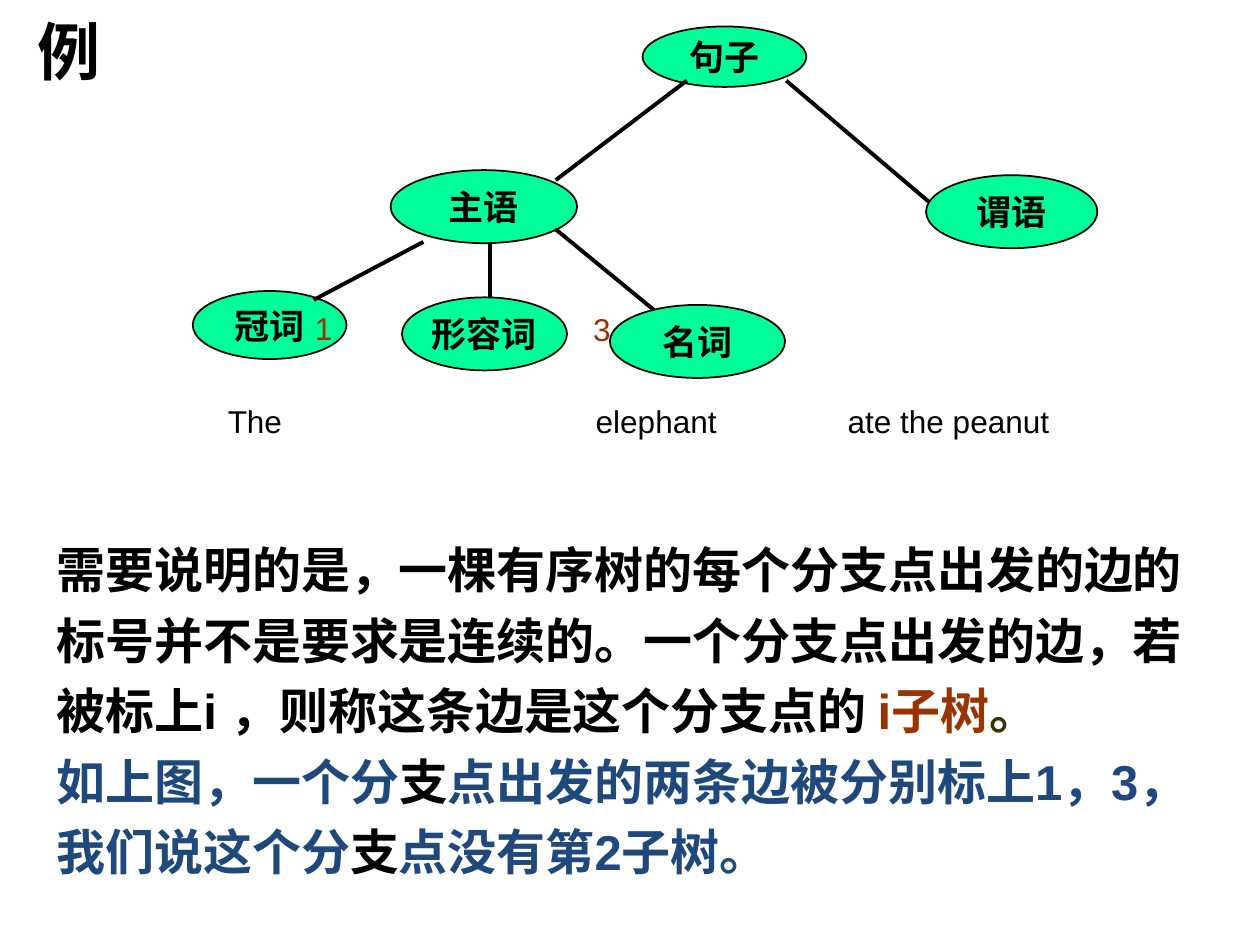
"""Build a slide showing an ordered sentence tree and a note on its i-subtrees."""
from dataclasses import dataclass
from typing import NamedTuple

from lxml.etree import SubElement
from pptx import Presentation
from pptx.dml.color import RGBColor
from pptx.enum.shapes import MSO_CONNECTOR as Connector, MSO_SHAPE as Preset
from pptx.enum.text import MSO_ANCHOR as Anchor, PP_ALIGN as Align
from pptx.oxml.ns import qn
from pptx.slide import Slide
from pptx.text.text import TextFrame
from pptx.util import Inches, Pt


@dataclass(frozen=True)
class Theme:
    black: str = "000000"
    green: str = "00FF99"
    rust: str = "993300"
    olive: str = "333300"
    navy: str = "1F497D"
    latin: str = "Arial"
    heading: str = "Calibri"
    chinese: str = "Noto Sans CJK SC"
    title_size: int = 36
    note_size: int = 28
    node_size: int = 20
    label_size: int = 18
    outline: float = 1
    edge: float = 2.25


THEME = Theme()


class Place(NamedTuple):
    left: float
    top: float
    width: float
    height: float


class Node(NamedTuple):
    word: str
    place: Place


class Edge(NamedTuple):
    x1: float
    y1: float
    x2: float
    y2: float


class Span(NamedTuple):
    text: str
    color: str = THEME.black


class Style(NamedTuple):
    size: int
    name: str
    bold: bool = False
    spacing: float = 1.0
    align: Align = Align.LEFT
    anchor: Anchor = Anchor.TOP
    wrap: bool = False


TITLE = Style(THEME.title_size, THEME.heading, bold=True, anchor=Anchor.MIDDLE, wrap=True)
NOTE = Style(THEME.note_size, THEME.latin, bold=True, spacing=1.2, wrap=True)
NODE = Style(THEME.node_size, THEME.chinese, bold=True, align=Align.CENTER, anchor=Anchor.MIDDLE)
LABEL = Style(THEME.label_size, THEME.latin)
SENTENCE = LABEL._replace(wrap=True)

NODES = [
    Node("句子", Place(5.1, 0.21, 1.3, 0.48)),
    Node("主语", Place(3.1, 1.35, 1.48, 0.58)),
    Node("谓语", Place(7.35, 1.39, 1.36, 0.58)),
    Node("冠词", Place(1.53, 2.31, 1.22, 0.54)),
    Node("形容词", Place(3.19, 2.36, 1.31, 0.58)),
    Node("名词", Place(4.84, 2.42, 1.39, 0.58)),
]
EDGES = [
    Edge(5.45, 0.64, 4.41, 1.43),
    Edge(6.24, 0.64, 7.37, 1.6),
    Edge(3.36, 1.92, 2.49, 2.38),
    Edge(3.89, 1.92, 3.89, 2.36),
    Edge(4.41, 1.82, 5.19, 2.46),
]
EDGE_LABELS = {"1": Place(2.4, 2.4, 0.34, 0.4), "3": Place(4.61, 2.41, 0.34, 0.4)}
WORD_STOPS = (2.92, 4.92)
NOTE_TEXT = [
    [
        Span("需要说明的是，一棵有序树的每个分支点出发的边的标号并不是要求是连续的。"
             "一个分支点出发的边，若被标上i ，则称这条边是这个分支点的 "),
        Span("i子树", THEME.rust),
        Span("。", THEME.olive),
    ],
    [
        Span("如上图，一个分", THEME.navy),
        Span("支"),
        Span("点出发的两条边被分别标上1，3，我们说这个分", THEME.navy),
        Span("支"),
        Span("点没有第2子树。", THEME.navy),
    ],
]


def set_values(target: object, values: dict) -> None:
    """Set each named attribute of the target."""
    for name, value in values.items():
        setattr(target, name, value)


def write(frame: TextFrame, paragraphs: list[list[Span]], style: Style) -> None:
    """Fill a text frame with styled spans."""
    set_values(frame, {"word_wrap": style.wrap, "vertical_anchor": style.anchor})
    for index, spans in enumerate(paragraphs):
        para = frame.add_paragraph() if index else frame.paragraphs[0]
        set_values(para, {"alignment": style.align, "line_spacing": style.spacing})
        for span in spans:
            run = para.add_run()
            run.text = span.text
            run.font.color.rgb = RGBColor.from_string(span.color)
            set_values(run.font, {"size": Pt(style.size), "name": style.name, "bold": style.bold})
            SubElement(run.font._element, qn("a:ea"), typeface=THEME.chinese)


def add_text(page: Slide, place: Place, paragraphs: list[list[Span]], style: Style) -> TextFrame:
    """Add a text box and return its frame."""
    box = page.shapes.add_textbox(*map(Inches, place))
    write(box.text_frame, paragraphs, style)
    return box.text_frame


def add_node(page: Slide, node: Node) -> None:
    """Draw one tree node as a labelled ellipse."""
    oval = page.shapes.add_shape(Preset.OVAL, *map(Inches, node.place))
    oval.shadow.inherit = False
    oval.fill.solid()
    oval.fill.fore_color.rgb = RGBColor.from_string(THEME.green)
    oval.line.color.rgb = RGBColor.from_string(THEME.black)
    oval.line.width = Pt(THEME.outline)
    write(oval.text_frame, [[Span(node.word)]], NODE)


def add_edge(page: Slide, edge: Edge) -> None:
    """Draw one straight branch of the tree."""
    branch = page.shapes.add_connector(Connector.STRAIGHT, *map(Inches, edge))
    branch.line.color.rgb = RGBColor.from_string(THEME.black)
    branch.line.width = Pt(THEME.edge)
    SubElement(branch._element.spPr, qn("a:effectLst"))


def add_sentence(page: Slide) -> None:
    """Write the sample sentence on tab stops under the tree."""
    words = [[Span("The\telephant\tate the peanut")]]
    frame = add_text(page, Place(1.71, 3.14, 6.9, 0.4), words, SENTENCE)
    stops = SubElement(frame.paragraphs[0]._p.get_or_add_pPr(), qn("a:tabLst"))
    for stop in WORD_STOPS:
        SubElement(stops, qn("a:tab"), pos=str(Inches(stop)), algn="l")


def main() -> None:
    """Build and save the deck."""
    deck = Presentation()
    set_values(deck, {"slide_width": Inches(10), "slide_height": Inches(7.5)})
    page = deck.slides.add_slide(deck.slide_layouts[6])
    add_text(page, Place(0.2, 0.05, 9, 0.7), [[Span("例")]], TITLE)
    add_text(page, Place(0.35, 4.14, 9.29, 2.9), NOTE_TEXT, NOTE)
    for node in NODES:
        add_node(page, node)
    for edge in EDGES:
        add_edge(page, edge)
    add_sentence(page)
    for number, place in EDGE_LABELS.items():
        add_text(page, place, [[Span(number, THEME.rust)]], LABEL)
    deck.save("out.pptx")


if __name__ == "__main__":
    main()
